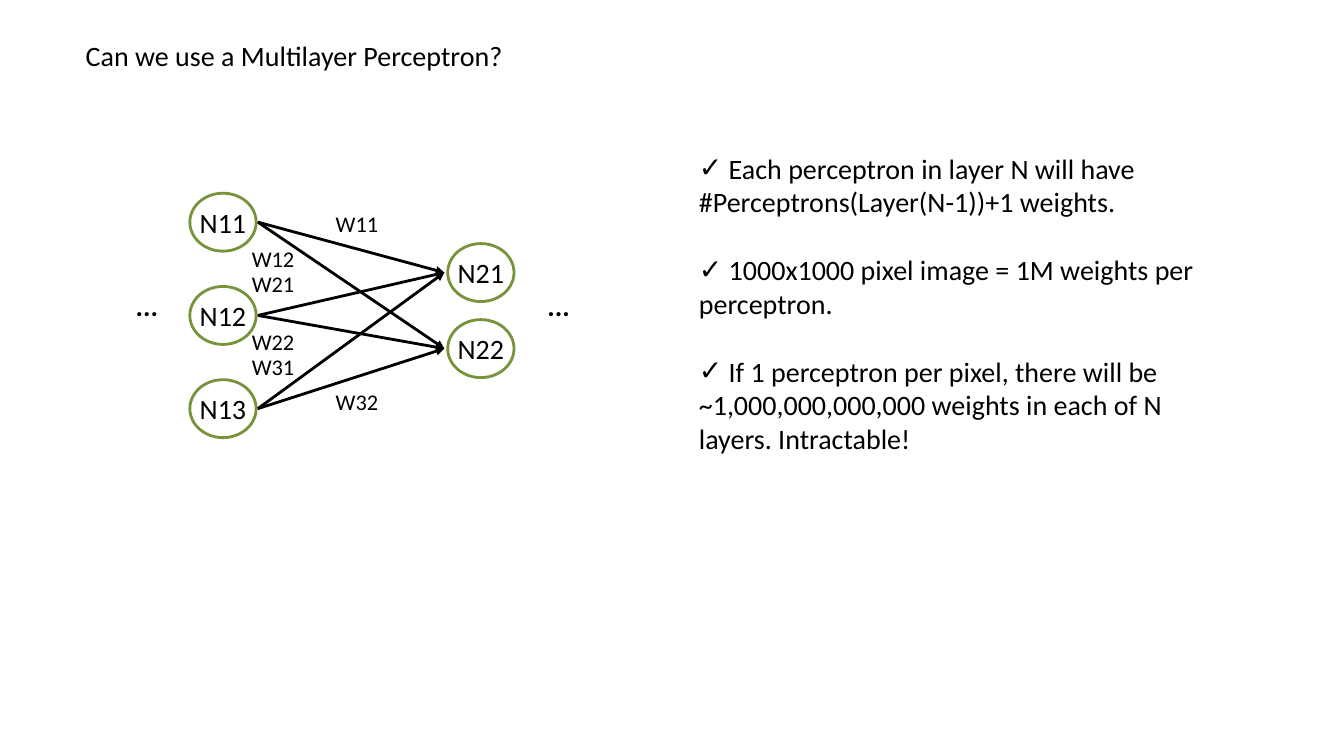
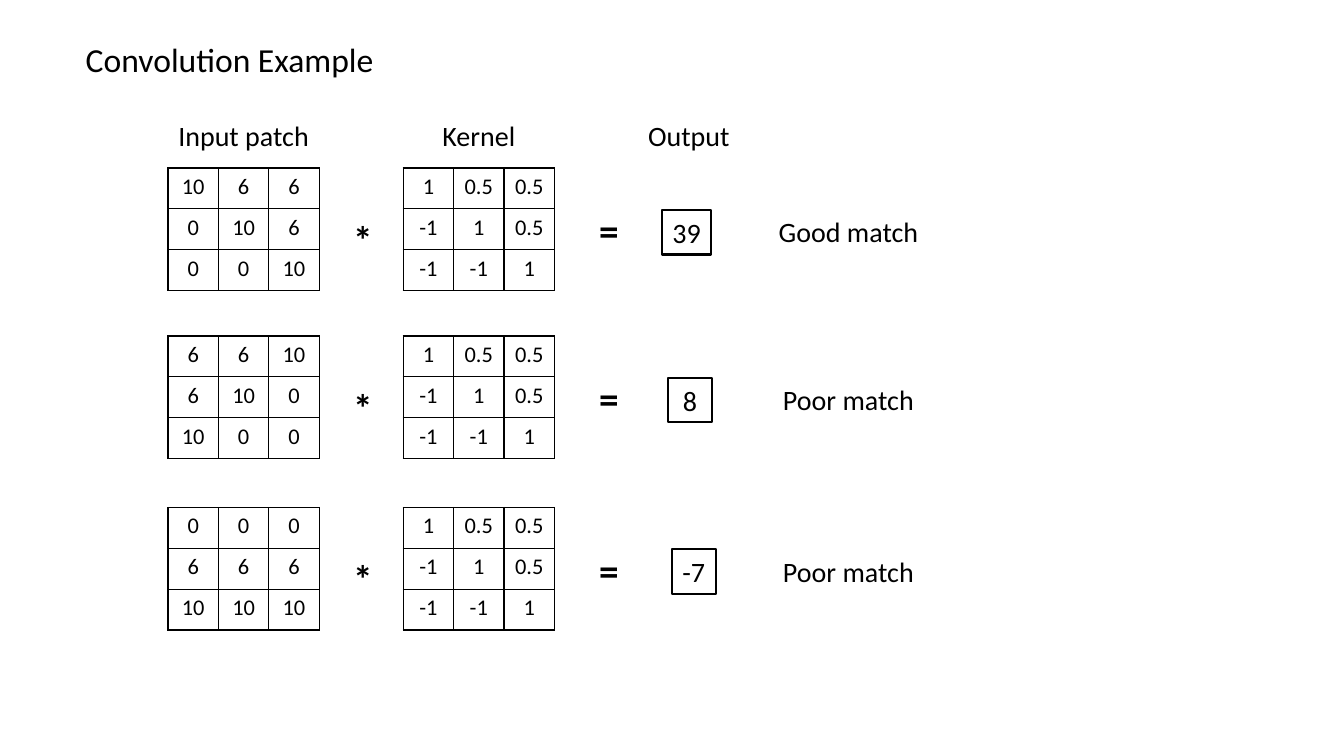
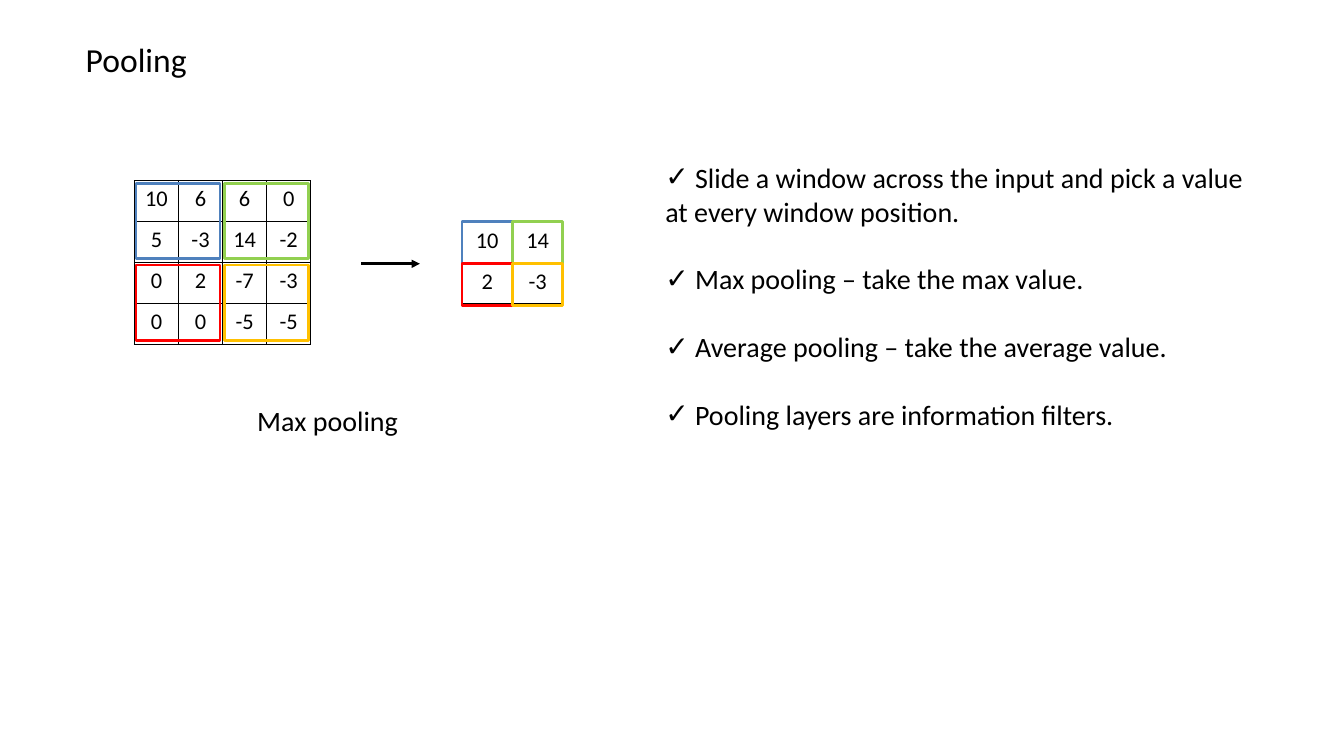
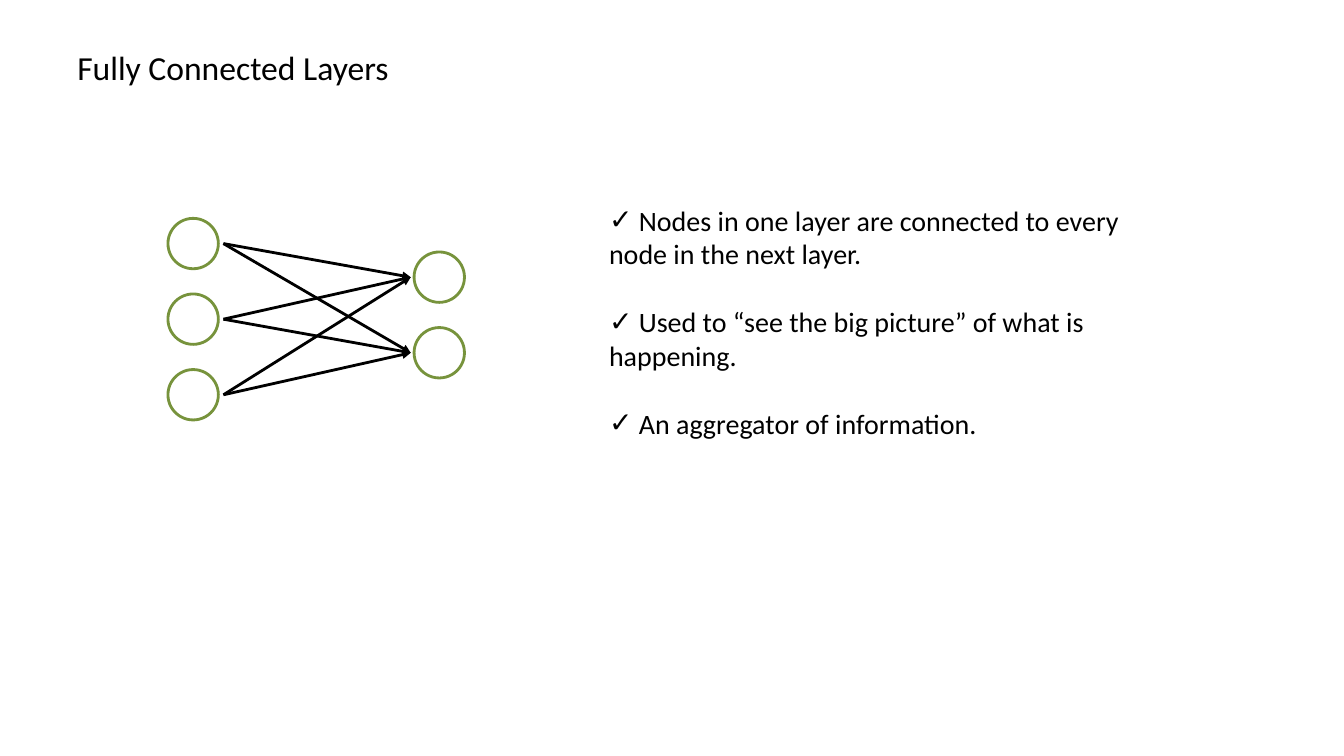
from itertools import product

from lxml import etree
from pptx import Presentation
from pptx.dml.color import RGBColor
from pptx.enum import shapes, text
from pptx.oxml.ns import qn
from pptx import util as u

# Shared style: a grid of 160 columns by 90 rows, 12 to the inch
CELL = u.Inches(1) / 12
COLUMNS, ROWS = 160, 90
FONT, BLACK, GREEN = "Calibri", "000000", "77933C"
WINDOW_COLOURS = ["4F81BD", "92D050", "FF0000", "FFC000"]
LABEL_HEIGHT = 5.3
TABLE_ROW = 4.87
LEFT, CENTRE = text.PP_ALIGN.LEFT, text.PP_ALIGN.CENTER
OVAL, RECTANGLE = shapes.MSO_SHAPE.OVAL, shapes.MSO_SHAPE.RECTANGLE


def grid(*cells):
    return [u.Emu(round(cell * CELL)) for cell in cells]


def colour(value):
    return RGBColor.from_string(value)


def write(frame, words, size=20, bold=False, align=CENTRE, wrap=True,
          inset=None, anchor=None, gap=0):
    """Fill a text frame with one paragraph for each line of words."""
    frame.word_wrap = wrap
    frame.auto_size = text.MSO_AUTO_SIZE.NONE
    if anchor is not None:
        frame.vertical_anchor = anchor
    if inset is not None:
        frame.margin_left = frame.margin_right = u.Pt(inset)
        frame.margin_top = frame.margin_bottom = u.Pt(inset)
    frame.text = words
    for index, para in enumerate(frame.paragraphs):
        para.alignment = align
        para.space_before = u.Pt(gap if index else 0)
        for span in para.runs:
            span.font.name, span.font.size = FONT, u.Pt(size)
            span.font.bold = bold
            span.font.color.rgb = colour(BLACK)


def label(page, box, words, **style):
    write(page.shapes.add_textbox(*grid(*box)).text_frame, words, **style)


def outline(page, kind, box, line, width=2, words=""):
    shape = page.shapes.add_shape(kind, *grid(*box))
    shape.shadow.inherit = False
    shape.fill.background()
    shape.line.color.rgb = colour(line)
    shape.line.width = u.Pt(width)
    if words:
        write(shape.text_frame, words, wrap=False, inset=0)


def arrow(page, start, end):
    link = page.shapes.add_connector(
        shapes.MSO_CONNECTOR.STRAIGHT, *grid(*start, *end))
    link.line.color.rgb = colour(BLACK)
    link.line.width = u.Pt(2)
    etree.SubElement(link.line._get_or_add_ln(), qn("a:tailEnd"), type="triangle")
    etree.SubElement(link._element.spPr, qn("a:effectLst"))


def border(cell):
    properties = cell._tc.get_or_add_tcPr()
    for index, side in enumerate(("lnL", "lnR", "lnT", "lnB")):
        edge = etree.Element(qn("a:" + side), w=str(u.Pt(1)))
        fill = etree.SubElement(edge, qn("a:solidFill"))
        etree.SubElement(fill, qn("a:srgbClr"), val=BLACK)
        properties.insert(index, edge)


def matrix(page, left, top, column, values):
    """Draw a bordered table of numbers."""
    rows = [row.split() for row in values]
    size = column * len(rows[0]), TABLE_ROW * len(rows)
    table = page.shapes.add_table(
        len(rows), len(rows[0]), *grid(left, top, *size)).table
    table.first_row = table.horz_banding = False
    for row, numbers in enumerate(rows):
        for place, number in enumerate(numbers):
            cell = table.cell(row, place)
            cell.fill.background()
            border(cell)
            write(cell.text_frame, number, size=16)


def place(holder, box):
    holder.left, holder.top, holder.width, holder.height = grid(*box)
    return holder.text_frame


def new_page(deck, layout, title, left=9, top=4, size=24):
    page = deck.slides.add_slide(deck.slide_layouts[layout])
    write(place(page.shapes.title, (left, top, 100, 6)), title, size=size,
          align=LEFT, anchor=text.MSO_ANCHOR.TOP)
    return page


def checklist(page, box, items):
    frame = place(page.placeholders[1], box)
    # The leading space parts the tick from the words
    write(frame, "\n".join(" " + item for item in items), align=LEFT,
          anchor=text.MSO_ANCHOR.TOP, gap=24.4)
    for para in frame.paragraphs:
        properties = para._p.get_or_add_pPr()
        properties.set("marL", "0")
        properties.set("indent", "0")
        etree.SubElement(properties, qn("a:buChar"), char="✓")


def network(page, left, top, node, pitches, shift, start_gap, names=None):
    """Join three nodes to two; shift is the offset of the second layer."""
    width, height = node
    names = names or [[""] * 3, [""] * 2]
    origins = [(left, top), (left + shift[0], top + shift[1])]
    layers = [[(x, y + pitch * row) for row in range(len(layer))]
              for (x, y), pitch, layer in zip(origins, pitches, names)]
    for layer, words in zip(layers, names):
        for corner, name in zip(layer, words):
            outline(page, OVAL, (*corner, *node), GREEN, words=name)
    for (x1, y1), (x2, y2) in product(*layers):
        arrow(page, (x1 + width + start_gap, y1 + height / 2),
              (x2 - 0.4, y2 + height / 2))


def weights(page, left, top):
    marks = {"W11": (10, 0), "W12": (0, 4.2), "W21": (0, 7.2),
             "W22": (0, 14.1), "W31": (0, 17.1), "W32": (10, 21.2)}
    for name, (x, y) in marks.items():
        label(page, (left + x, top + y, 9, 4.4), name, size=16)


def convolution(page, left, top, patch, output, output_box, verdict):
    """Draw one row: patch * kernel = output, and a verdict."""
    kernel = ["1 0.5 0.5", "-1 1 0.5", "-1 -1 1"]
    matrix(page, left, top, 6, patch)
    matrix(page, left + 28, top, 6, kernel)
    label(page, (left + 20.7, top + 5, 5, 6.9), "*", size=28, bold=True)
    label(page, (left + 50, top + 4, 5, 6.9), "=", size=28, bold=True)
    offset, width = output_box
    outline(page, RECTANGLE, (left + offset, top + 5, width, LABEL_HEIGHT),
            BLACK, width=1.5, words=output)
    label(page, (left + 71, top + 5, 20, LABEL_HEIGHT), verdict)


def windows(page, left, top, size, pitch):
    for (row, column), line in zip(product(range(2), repeat=2), WINDOW_COLOURS):
        outline(page, RECTANGLE, (left + column * pitch[0],
                                  top + row * pitch[1], *size), line)


def perceptron_page(deck):
    page = new_page(deck, 1, "Can we use a Multilayer Perceptron?", size=20)
    network(page, 22.6, 23, (7.9, 6.9), (11.1, 9.05), (30.7, 6), 0.2,
            [["N11", "N12", "N13"], ["N21", "N22"]])
    weights(page, 28, 24.4)
    for left in (14, 63):
        label(page, (left, 33.7, 7, LABEL_HEIGHT), "...", bold=True)
    checklist(page, (82, 17.4, 64, 37.5), [
        "Each perceptron in layer N will have #Perceptrons(Layer(N-1))+1 weights.",
        "1000x1000 pixel image = 1M weights per perceptron.",
        "If 1 perceptron per pixel, there will be ~1,000,000,000,000 weights "
        "in each of N layers. Intractable!"])


def convolution_page(deck):
    page = new_page(deck, 5, "Convolution Example")
    for left, heading in ((19, "Input patch"), (47, "Kernel"), (72, "Output")):
        label(page, (left, 13.5, 20, LABEL_HEIGHT), heading)
    examples = [
        (20, ["10 6 6", "0 10 6", "0 0 10"], "39", (58.8, 5.9), "Good match"),
        (40, ["6 6 10", "6 10 0", "10 0 0"], "8", (59.5, 5.3), "Poor match"),
        (60.4, ["0 0 0", "6 6 6", "10 10 10"], "-7", (60, 5.2), "Poor match")]
    for example in examples:
        convolution(page, 20, *example)


def pooling_page(deck):
    page = new_page(deck, 1, "Pooling")
    matrix(page, 16, 21.5, 5.25, ["10 6 6 0", "5 -3 14 -2", "0 2 -7 -3", "0 0 -5 -5"])
    matrix(page, 55, 26.4, 6, ["10 14", "2 -3"])
    arrow(page, (43, 31.4), (50, 31.4))
    windows(page, 16.2, 21.8, (10, 9), (10.5, 9.75))
    windows(page, 55, 26.4, (6, 5), (6, 5))
    checklist(page, (78, 18.5, 74, 37.5), [
        "Slide a window across the input and pick a value at every window position.",
        "Max pooling – take the max value.",
        "Average pooling – take the average value.",
        "Pooling layers are information filters."])
    label(page, (29, 47.4, 20, LABEL_HEIGHT), "Max pooling")


def connected_page(deck):
    page = new_page(deck, 1, "Fully Connected Layers", left=8, top=5)
    checklist(page, (71.3, 23.6, 66.8, 29.5), [
        "Nodes in one layer are connected to every node in the next layer.",
        "Used to “see the big picture” of what is happening.",
        "An aggregator of information."])
    network(page, 20, 26, (6, 6), (9, 9), (29.3, 4), 0.6)


def main():
    deck = Presentation()
    deck.slide_width, deck.slide_height = grid(COLUMNS, ROWS)
    for build in (perceptron_page, convolution_page, pooling_page, connected_page):
        build(deck)
    deck.save("out.pptx")


if __name__ == "__main__":
    main()
